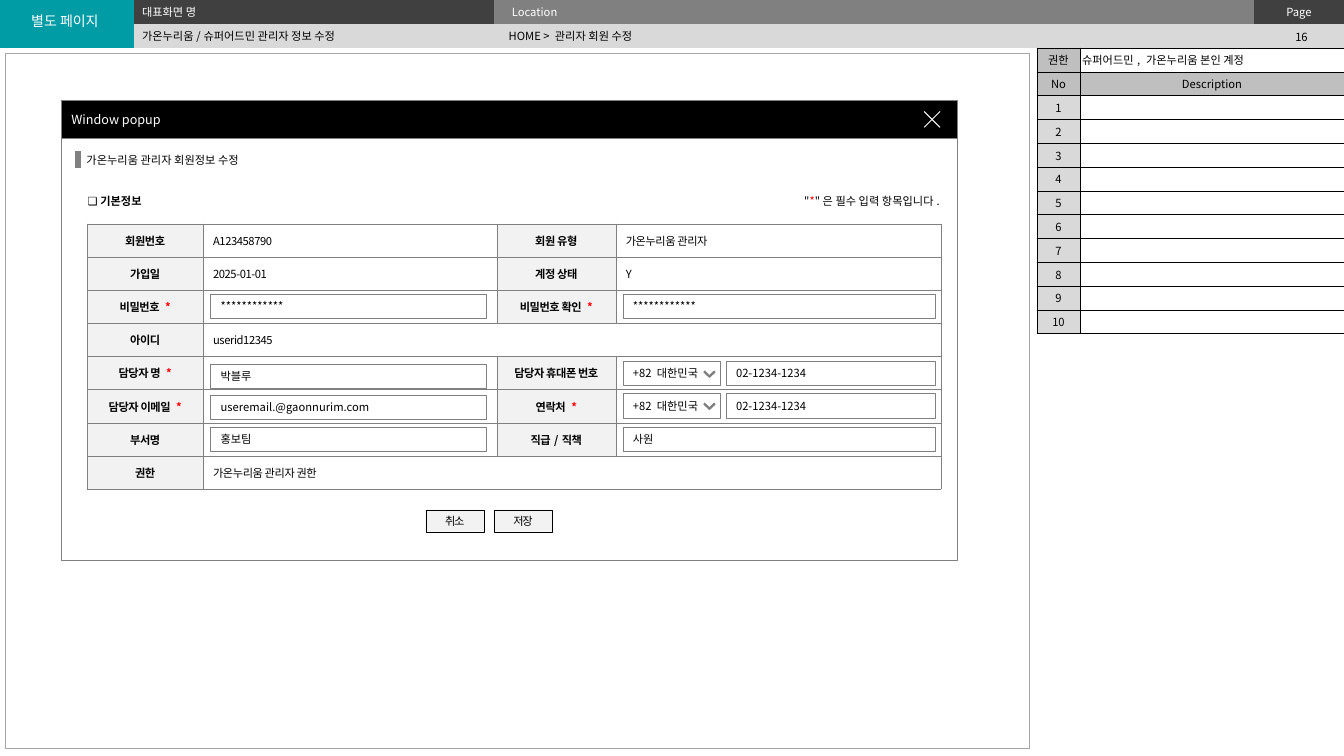
from lxml.etree import SubElement
from pptx import Presentation
from pptx.dml.color import RGBColor
from pptx.enum.shapes import MSO_CONNECTOR as Connector, MSO_SHAPE as Preset
from pptx.enum.text import MSO_ANCHOR as Anchor, PP_ALIGN as Align
from pptx.oxml import parse_xml
from pptx.oxml.ns import nsdecls, qn
from pptx.util import Cm, Pt

FONT = "Noto Sans CJK KR"
PLAIN_TABLE = "{2D5ABB26-0587-4C30-8999-92F81FD0307C}"
COLORS = {
    "white": "FFFFFF", "black": "000000", "red": "FF0000", "teal": "009CA6",
    "charcoal": "404040", "gray": "808080", "frame": "A6A6A6", "header": "BFBFBF",
    "light": "D9D9D9", "pale": "F2F2F2", "chevron": "5F5F5F",
}
FORM_ROWS = [
    ("회원번호", "A123458790", "회원 유형", "가온누리움 관리자"),
    ("가입일", "2025-01-01", "계정 상태", "Y"),
    ("비밀번호 *", "", "비밀번호 확인 *", ""),
    ("아이디", "userid12345", "", ""),
    ("담당자 명 *", "", "담당자 휴대폰 번호", ""),
    ("담당자 이메일 *", "", "연락처 *", ""),
    ("부서명", "", "직급/직책", ""),
    ("권한", "가온누리움 관리자 권한", "", ""),
]
LEFT_FIELDS = [("************", 7.41), ("박블루", 9.17),
               ("useremail.@gaonnurim.com", 9.95), ("홍보팀", 10.76)]
RIGHT_FIELDS = [("************", 7.41), ("사원", 10.76)]


def rgb(name):
    """Return the named colour."""
    return RGBColor.from_string(COLORS[name])


def write(frame, text, color="black", size=8, align=Align.LEFT, bold=False,
          spacing=0, marked=False):
    """Fill a text frame, with the first asterisk in red if marked."""
    paragraph = frame.paragraphs[0]
    paragraph.alignment = align
    if not text:
        paragraph._p.get_or_add_endParaRPr().set("sz", str(size * 100))
    for piece in filter(None, text.partition("*") if marked else (text,)):
        run = paragraph.add_run()
        run.text = piece
        run.font.size = Pt(size)
        run.font.bold = bold
        run.font.name = FONT
        run.font.color.rgb = rgb("red" if marked and piece == "*" else color)
        properties = run.font._element
        SubElement(properties, qn("a:ea")).set("typeface", FONT)
        if spacing:
            properties.set("spc", str(spacing))


def style(shape, fill, line, width):
    """Set fill and line and remove the shadow."""
    shape.shadow.inherit = False
    if fill:
        shape.fill.solid()
        shape.fill.fore_color.rgb = rgb(fill)
    else:
        shape.fill.background()
    shape.line.color.rgb = rgb(line)
    shape.line.width = Pt(width)


def add_box(slide, left, top, width, height, fill="white", line="gray",
            weight=0.25, text="", inset=0.25, **text_style):
    """Add a rectangle with optional text."""
    shape = slide.shapes.add_shape(Preset.RECTANGLE, Cm(left), Cm(top), Cm(width), Cm(height))
    style(shape, fill, line, weight)
    frame = shape.text_frame
    frame.margin_left = frame.margin_right = Cm(inset)
    frame.margin_top = frame.margin_bottom = 0
    frame.vertical_anchor = Anchor.MIDDLE
    write(frame, text, **text_style)


def add_label(slide, text, left, top, width, **text_style):
    """Add a one-line text box."""
    frame = slide.shapes.add_textbox(Cm(left), Cm(top), Cm(width), Cm(0.6)).text_frame
    frame.word_wrap = True
    frame.margin_top = frame.margin_bottom = 0
    frame.vertical_anchor = Anchor.MIDDLE
    write(frame, text, **text_style)


def add_grid(slide, left, top, widths, row_height, row_count):
    """Add an unstyled table with equal rows."""
    frame = slide.shapes.add_table(row_count, len(widths), Cm(left), Cm(top),
                                   Cm(sum(widths)), Cm(row_height * row_count))
    table = frame.table
    table.first_row = table.horz_banding = False
    table._tbl.tblPr.find(qn("a:tableStyleId")).text = PLAIN_TABLE
    for column, width in zip(table.columns, widths):
        column.width = Cm(width)
    for row in table.rows:
        row.height = Cm(row_height)
    return table


def fill_cell(cell, text="", fill=None, border=None, weight=0.25, inset=0.25, **text_style):
    """Set text, fill and borders of a table cell."""
    cell.margin_left = cell.margin_right = Cm(inset)
    cell.margin_top = cell.margin_bottom = Cm(0.08)
    cell.vertical_anchor = Anchor.MIDDLE
    write(cell.text_frame, text, **text_style)
    if fill:
        cell.fill.solid()
        cell.fill.fore_color.rgb = rgb(fill)
    else:
        cell.fill.background()
    if border:
        properties = cell._tc.get_or_add_tcPr()
        for index, side in enumerate("LRTB"):
            properties.insert(index, parse_xml(
                f'<a:ln{side} {nsdecls("a")} w="{Pt(weight)}"><a:solidFill>'
                f'<a:srgbClr val="{COLORS[border]}"/></a:solidFill></a:ln{side}>'))


def add_page_header(slide):
    """Add the band across the top with its labels."""
    table = add_grid(slide, 0, 0, [3.38, 9.07, 19.15, 2.27], 0.6, 2)
    top_cells = [("", "teal"), ("", "charcoal"), ("Location", "gray"), ("Page", "charcoal")]
    for column, (text, fill) in enumerate(top_cells):
        align = Align.CENTER if text == "Page" else Align.LEFT
        fill_cell(table.cell(0, column), text, fill, inset=0.45, color="white", align=align)
        fill_cell(table.cell(1, column), fill="light" if column else "teal")
    table.cell(0, 0).merge(table.cell(1, 0))
    add_label(slide, "별도 페이지", 0.2, 0.23, 2.87, color="white", size=10, align=Align.CENTER)
    add_label(slide, "대표화면 명", 3.33, 0, 9.2, color="white")
    add_label(slide, "가온누리움/슈퍼어드민 관리자 정보 수정", 3.33, 0.61, 9.2)
    add_label(slide, "HOME > 관리자 회원 수정", 12.57, 0.61, 9.2)
    add_label(slide, "16", 31.75, 0.63, 2.1, align=Align.CENTER)


def add_description(slide):
    """Add the numbered description table."""
    rows = [("권한", "슈퍼어드민, 가온누리움 본인 계정"), ("No", "Description")]
    rows += [(str(number), "") for number in range(1, 11)]
    table = add_grid(slide, 26.13, 1.21, [1.09, 6.65], 0.6, len(rows))
    for index, (number, description) in enumerate(rows):
        is_heading = index == 1
        shared = {"border": "black", "weight": 0.5, "inset": 0.05}
        fill_cell(table.cell(index, 0), number, "header" if index < 2 else "light",
                  align=Align.CENTER, **shared)
        fill_cell(table.cell(index, 1), description, "header" if is_heading else None,
                  align=Align.CENTER if is_heading else Align.LEFT, **shared)


def add_popup(slide):
    """Add the popup window with its headings."""
    add_box(slide, 1.55, 3.49, 22.58, 10.62, weight=0.5)
    add_box(slide, 1.55, 2.53, 22.58, 0.96, fill="black", weight=0.5,
            text="Window popup", color="white", size=9)
    left, top, right, bottom = Cm(23.29), Cm(2.81), Cm(23.69), Cm(3.21)
    builder = slide.shapes.build_freeform(right, top)
    builder.add_line_segments([(left, bottom)], close=False)
    builder.move_to(left, top)
    builder.add_line_segments([(right, bottom)], close=False)
    style(builder.convert_to_shape(), None, "white", 0.75)
    accent = slide.shapes.add_connector(Connector.STRAIGHT, Cm(1.96), Cm(3.81), Cm(1.96), Cm(4.24))
    accent.line.color.rgb = rgb("gray")
    accent.line.width = Pt(4.5)
    SubElement(accent._element.spPr, qn("a:effectLst"))
    add_label(slide, "가온누리움 관리자 회원정보 수정", 1.93, 3.74, 6.12)
    add_label(slide, "❏ 기본정보", 1.96, 4.77, 3, bold=True)
    add_label(slide, '"*"은 필수 입력 항목입니다.', 18.9, 4.77, 5.03, align=Align.RIGHT, marked=True)


def add_member_form(slide):
    """Add the table of member details."""
    table = add_grid(slide, 2.2, 5.64, [2.92, 7.4, 3, 8.2], 6.68 / len(FORM_ROWS), len(FORM_ROWS))
    for row, texts in enumerate(FORM_ROWS):
        for column, text in enumerate(texts):
            is_label = column % 2 == 0
            fill_cell(table.cell(row, column), text, "pale" if is_label else "white",
                      "gray", align=Align.CENTER if is_label else Align.LEFT,
                      bold=is_label, spacing=-30, marked="*" in text)
        if not texts[2]:
            table.cell(row, 1).merge(table.cell(row, 3))


def add_phone(slide, top):
    """Add a country selector and a number field."""
    add_box(slide, 15.7, top, 2.44, 0.62, text="+82 대한민국")
    add_box(slide, 18.3, top, 5.26, 0.62, text="02-1234-1234")
    offsets = [(0.14, 0.28), (0.12, 0.25), (0, 0.37), (-0.12, 0.25), (-0.14, 0.28), (0, 0.41)]
    points = [(Cm(17.88 + x), Cm(top + y)) for x, y in offsets]
    builder = slide.shapes.build_freeform(*points[0])
    builder.add_line_segments(points[1:])
    style(builder.convert_to_shape(), "chevron", "gray", 0.75)


def main():
    """Build and save the slide."""
    presentation = Presentation()
    presentation.slide_width, presentation.slide_height = Cm(33.87), Cm(19.05)
    slide = presentation.slides.add_slide(presentation.slide_layouts[6])
    add_page_header(slide)
    add_box(slide, 0.13, 1.35, 25.81, 17.5, fill=None, line="frame")
    add_description(slide)
    add_popup(slide)
    add_member_form(slide)
    for left, width, fields in [(5.31, 6.95, LEFT_FIELDS), (15.7, 7.86, RIGHT_FIELDS)]:
        for text, top in fields:
            add_box(slide, left, top, width, 0.62, text=text)
    for top in (9.1, 9.91):
        add_phone(slide, top)
    for text, left in [("취소", 10.73), ("저장", 12.45)]:
        add_box(slide, left, 12.85, 1.47, 0.55, fill="pale", line="black", text=text,
                inset=0, align=Align.CENTER, spacing=-90)
    presentation.save("out.pptx")


if __name__ == "__main__":
    main()
